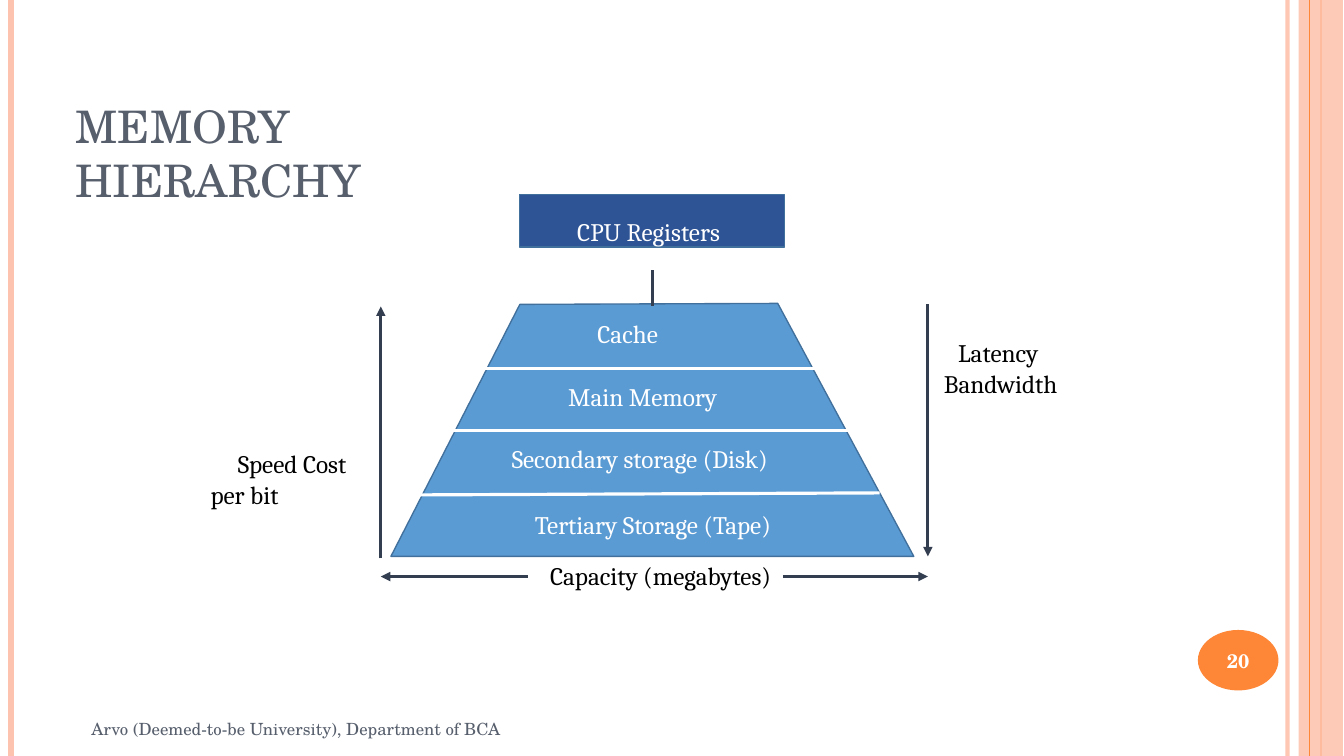
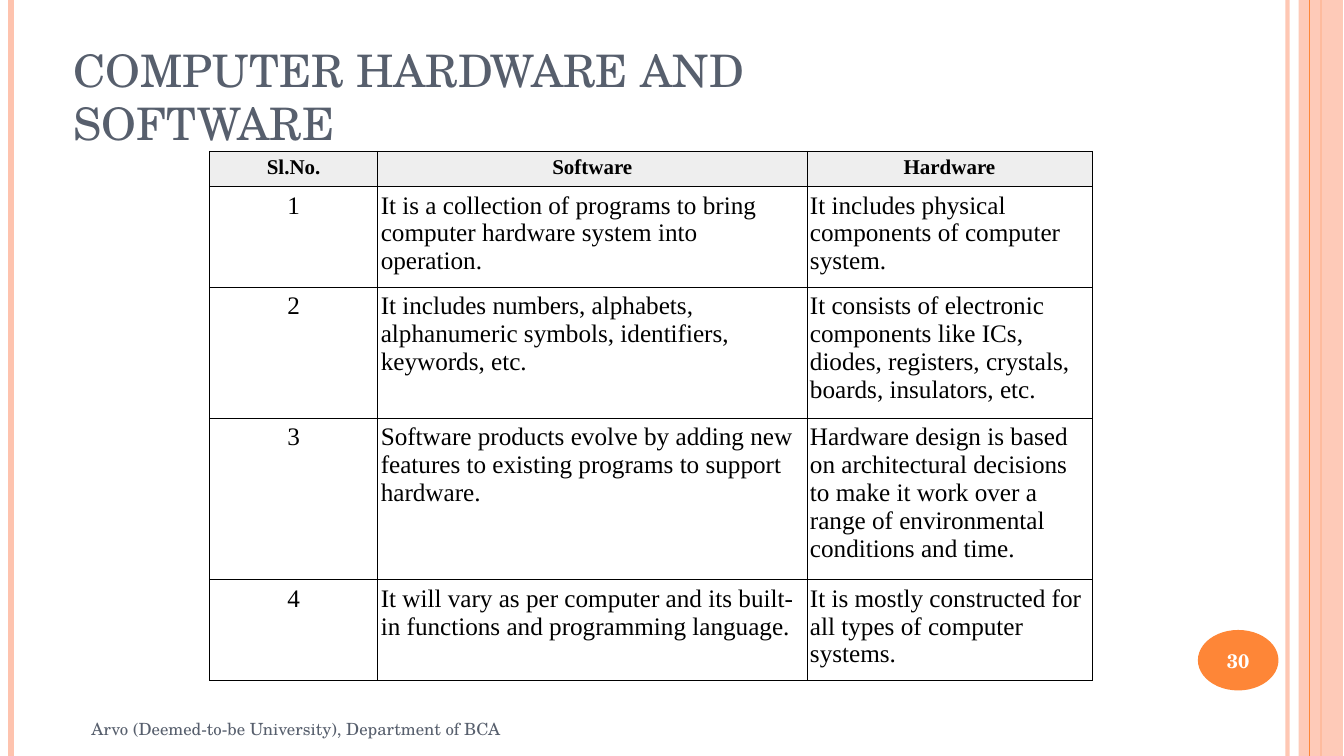
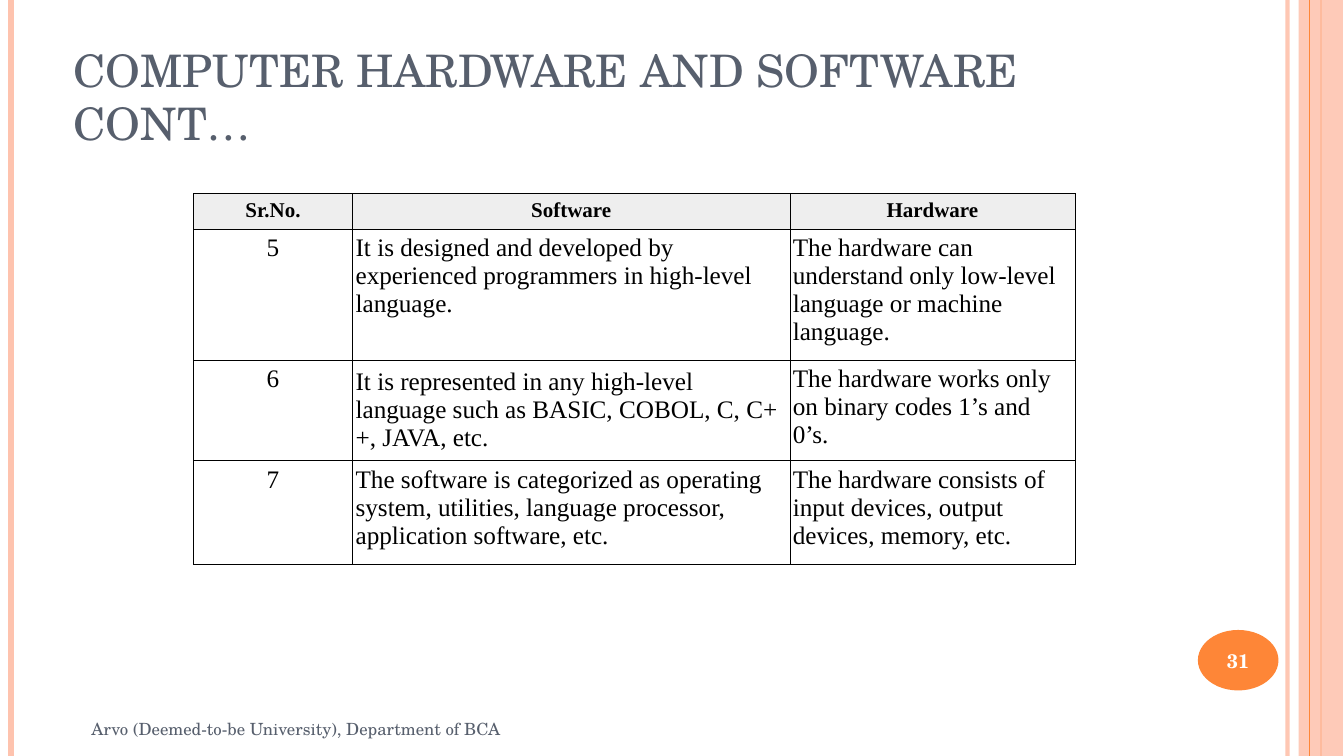
from pptx import Presentation
from pptx.dml.color import RGBColor
from pptx.enum.shapes import MSO_CONNECTOR, MSO_SHAPE
from pptx.enum.text import MSO_ANCHOR, MSO_AUTO_SIZE, PP_ALIGN
from pptx.oxml import parse_xml
from pptx.oxml.ns import nsdecls, qn
from pptx.oxml.xmlchemy import OxmlElement
from pptx.util import Inches, Pt

COLORS = {
    "peach": "FEC3AE", "orange": "FE8637", "slate": "575F6D",
    "white": "FFFFFF", "black": "000000", "header": "EEEEEE",
    "navy": "2E5496", "blue": "5B9BD4", "outline": "41709C", "arrow": "333E50",
}
FONTS = {
    "title": {"name": "TeX Gyre Schola", "size": Pt(32), "bold": False, "color": "slate"},
    "number": {"name": "TeX Gyre Schola", "size": Pt(14), "bold": True, "color": "white"},
    "footer": {"name": "TeX Gyre Schola", "size": Pt(12), "color": "slate"},
    "light label": {"name": "Cambria", "size": Pt(18), "color": "white"},
    "dark label": {"name": "Cambria", "size": Pt(18), "color": "black"},
    "table head": {"name": "Times New Roman", "size": Pt(15), "bold": True, "color": "black"},
    "table body": {"name": "Times New Roman", "size": Pt(18), "bold": False, "color": "black"},
}
FOOTER = "Arvo (Deemed-to-be University), Department of BCA"
TIGHT = (0, 0.01, 0, 0)
ROOMY = (0.1, 0.05, 0.1, 0.05)


def rgb(color):
    return RGBColor.from_string(COLORS[color])


def set_alpha(fill_parent, percent):
    color = fill_parent.find(qn("a:solidFill"))[0]
    alpha = OxmlElement("a:alpha")
    alpha.set("val", str(percent * 1000))
    color.append(alpha)


class Deck:
    def __init__(self):
        self.presentation = Presentation()
        self.presentation.slide_width = Inches(13.34)
        self.presentation.slide_height = Inches(7.5)
        self.slide = None

    def start_slide(self, title, box, number):
        self.slide = self.presentation.slides.add_slide(self.presentation.slide_layouts[5])
        self.frame(number)
        shape = self.slide.shapes.title
        shape.left, shape.top, shape.width, shape.height = map(Inches, box)
        self.fill_text(shape.text_frame, title, "title", TIGHT)

    def frame(self, number):
        """Draw the side bands, page number and footer shared by all slides."""
        for x, color, width, alpha in (
            (12.78, "peach", 3, 93), (0.11, "peach", 4.5, 100), (13.11, "orange", 1.5, 100),
        ):
            self.line((x, 0), (x, 7.5), color, width, alpha=alpha)
        band = self.shape(MSO_SHAPE.RECTANGLE, (12.89, 0, 0.44, 7.5), "peach")
        set_alpha(band.element.spPr, 87)
        self.line((13, 0), (13, 7.5), "orange", 0.75)
        badge = self.shape(MSO_SHAPE.OVAL, (11.89, 6.25, 0.8, 0.6), "orange")
        self.fill_text(badge.text_frame, str(number), "number", TIGHT,
                       PP_ALIGN.CENTER, MSO_ANCHOR.MIDDLE)
        self.text(FOOTER, (0.81, 6.97, 5.94, 0.53), "footer", ROOMY, MSO_ANCHOR.MIDDLE)

    def fill_text(self, frame, text, font, insets, align=PP_ALIGN.LEFT,
                  anchor=MSO_ANCHOR.TOP):
        left, top, right, bottom = map(Inches, insets)
        layout = {
            "margin_left": left, "margin_top": top, "margin_right": right,
            "margin_bottom": bottom, "word_wrap": True,
            "auto_size": MSO_AUTO_SIZE.NONE, "vertical_anchor": anchor,
        }
        for name, value in layout.items():
            setattr(frame, name, value)
        self.style(frame.paragraphs[0], text, font, align)

    def style(self, paragraph, text, font, align):
        paragraph.alignment = align
        run = paragraph.add_run()
        run.text = text
        for name, value in FONTS[font].items():
            if name == "color":
                run.font.color.rgb = rgb(value)
            else:
                setattr(run.font, name, value)

    def text(self, text, box, font, insets=TIGHT, anchor=MSO_ANCHOR.TOP, indent=0):
        shape = self.slide.shapes.add_textbox(*map(Inches, box))
        self.fill_text(shape.text_frame, text, font, insets, anchor=anchor)
        if indent:
            properties = shape.text_frame.paragraphs[0]._p.get_or_add_pPr()
            properties.set("indent", str(Inches(indent)))

    def paint(self, shape, fill, outline=None):
        shape.shadow.inherit = False
        shape.fill.solid()
        shape.fill.fore_color.rgb = rgb(fill)
        if outline:
            shape.line.color.rgb = rgb(outline)
            shape.line.width = Pt(0.96)
        else:
            shape.line.fill.background()
        return shape

    def shape(self, kind, box, fill, outline=None):
        shape = self.slide.shapes.add_shape(kind, *map(Inches, box))
        return self.paint(shape, fill, outline)

    def polygon(self, points, fill, outline):
        corners = [(Inches(x), Inches(y)) for x, y in points]
        builder = self.slide.shapes.build_freeform(*corners[0])
        builder.add_line_segments(corners[1:], close=True)
        return self.paint(builder.convert_to_shape(), fill, outline)

    def line(self, start, end, color, width, arrow=False, alpha=100):
        connector = self.slide.shapes.add_connector(
            MSO_CONNECTOR.STRAIGHT, *map(Inches, start + end))
        connector.line.color.rgb = rgb(color)
        connector.line.width = Pt(width)
        properties = connector.element.spPr
        outline = properties.find(qn("a:ln"))
        if alpha < 100:
            set_alpha(outline, alpha)
        if arrow:
            head = OxmlElement("a:tailEnd")
            head.set("type", "triangle")
            outline.append(head)
        properties.append(OxmlElement("a:effectLst"))

    def table(self, position, widths, heights, rows, middle_cells=()):
        size = (sum(widths), sum(heights))
        table = self.slide.shapes.add_table(
            len(rows), len(widths), *map(Inches, position + size)).table
        table.first_row = table.horz_banding = False
        for column, width in zip(table.columns, widths):
            column.width = Inches(width)
        for row, height in zip(table.rows, heights):
            row.height = Inches(height)
        for row_index, row in enumerate(rows):
            for column_index, text in enumerate(row):
                middle = (row_index, column_index) in middle_cells
                self.cell(table.cell(row_index, column_index), text, row_index == 0,
                          row_index == 0 or column_index == 0, middle)

    def cell(self, cell, text, is_head, centered, middle):
        cell.margin_left = cell.margin_right = Inches(0.03)
        cell.margin_top = cell.margin_bottom = Inches(0.05)
        cell.vertical_anchor = MSO_ANCHOR.MIDDLE if middle else MSO_ANCHOR.TOP
        self.style(cell.text_frame.paragraphs[0], text,
                   "table head" if is_head else "table body",
                   PP_ALIGN.CENTER if centered else PP_ALIGN.LEFT)
        properties = cell._tc.get_or_add_tcPr()
        for side in ("lnL", "lnR", "lnT", "lnB"):
            properties.append(parse_xml(
                f'<a:{side} {nsdecls("a")} w="{Pt(0.45)}"><a:solidFill>'
                f'<a:srgbClr val="{COLORS["black"]}"/></a:solidFill></a:{side}>'))
        if is_head:
            cell.fill.solid()
            cell.fill.fore_color.rgb = rgb("header")
        else:
            cell.fill.background()


def memory_hierarchy(deck):
    deck.start_slide("MEMORY HIERARCHY", (0.75, 0.97, 3.47, 1.08), 20)
    registers = deck.shape(MSO_SHAPE.RECTANGLE, (5.16, 1.93, 2.63, 0.52), "navy", "outline")
    deck.fill_text(registers.text_frame, "CPU Registers", "light label", (0.57, 0.22, 0, 0))
    deck.polygon([(5.16, 3.02), (7.72, 3.01), (9.07, 5.52), (3.88, 5.52)], "blue", "outline")
    for start, end in (
        ((4.61, 3.66), (8.15, 3.66)),
        ((4.12, 4.27), (8.73, 4.27)),
        ((4.12, 4.91), (8.73, 4.89)),
    ):
        deck.line(start, end, "white", 2.27)
    for text, left, top, font in (
        ("Cache", 5.93, 3.15, "light label"),
        ("Main Memory", 5.64, 3.77, "light label"),
        ("Secondary storage (Disk)", 5.08, 4.39, "light label"),
        ("Tertiary Storage (Tape)", 5.31, 5.04, "light label"),
        ("Capacity (megabytes)", 5.46, 5.55, "dark label"),
    ):
        deck.text(text, (left, top, 3, 0.31), font)
    deck.text("Latency Bandwidth", (9.37, 3.34, 1.2, 0.61), "dark label", indent=0.14)
    deck.text("Speed Cost per bit", (2.09, 4.44, 1.6, 0.61), "dark label", indent=0.27)
    for start, end in (
        ((3.78, 5.54), (3.78, 3.04)),
        ((9.21, 3.02), (9.21, 5.52)),
        ((7.77, 5.72), (9.21, 5.72)),
        ((5.24, 5.72), (3.78, 5.72)),
    ):
        deck.line(start, end, "arrow", 2.27, arrow=True)
    deck.line((6.48, 2.68), (6.48, 3.04), "arrow", 2.27)


def hardware_and_software(deck):
    deck.start_slide("COMPUTER HARDWARE AND SOFTWARE", (0.73, 0.41, 8.02, 1.08), 30)
    deck.table((2.08, 1.5), (1.67, 4.26, 2.83), (0.35, 1, 1.3, 1.6, 1), [
        ("Sl.No.", "Software", "Hardware"),
        ("1",
         "It is a collection of programs to bring computer hardware system into operation.",
         "It includes physical components of computer system."),
        ("2",
         "It includes numbers, alphabets, alphanumeric symbols, identifiers, keywords, etc.",
         "It consists of electronic components like ICs, diodes, registers, crystals, "
         "boards, insulators, etc."),
        ("3",
         "Software products evolve by adding new features to existing programs to "
         "support hardware.",
         "Hardware design is based on architectural decisions to make it work over a "
         "range of environmental conditions and time."),
        ("4",
         "It will vary as per computer and its built-in functions and programming language.",
         "It is mostly constructed for all types of computer systems."),
    ])


def hardware_and_software_continued(deck):
    deck.start_slide("COMPUTER HARDWARE AND SOFTWARE CONT…", (0.73, 0.41, 9.43, 1.08), 31)
    deck.table((1.92, 1.92), (1.58, 4.34, 2.83), (0.35, 1.3, 1, 1.03), [
        ("Sr.No.", "Software", "Hardware"),
        ("5",
         "It is designed and developed by experienced programmers in high-level language.",
         "The hardware can understand only low-level language or machine language."),
        ("6",
         "It is represented in any high-level language such as BASIC, COBOL, C, C++, "
         "JAVA, etc.",
         "The hardware works only on binary codes 1’s and 0’s."),
        ("7",
         "The software is categorized as operating system, utilities, language "
         "processor, application software, etc.",
         "The hardware consists of input devices, output devices, memory, etc."),
    ], middle_cells={(2, 1)})


def main():
    deck = Deck()
    memory_hierarchy(deck)
    hardware_and_software(deck)
    hardware_and_software_continued(deck)
    deck.presentation.save("out.pptx")


if __name__ == "__main__":
    main()
